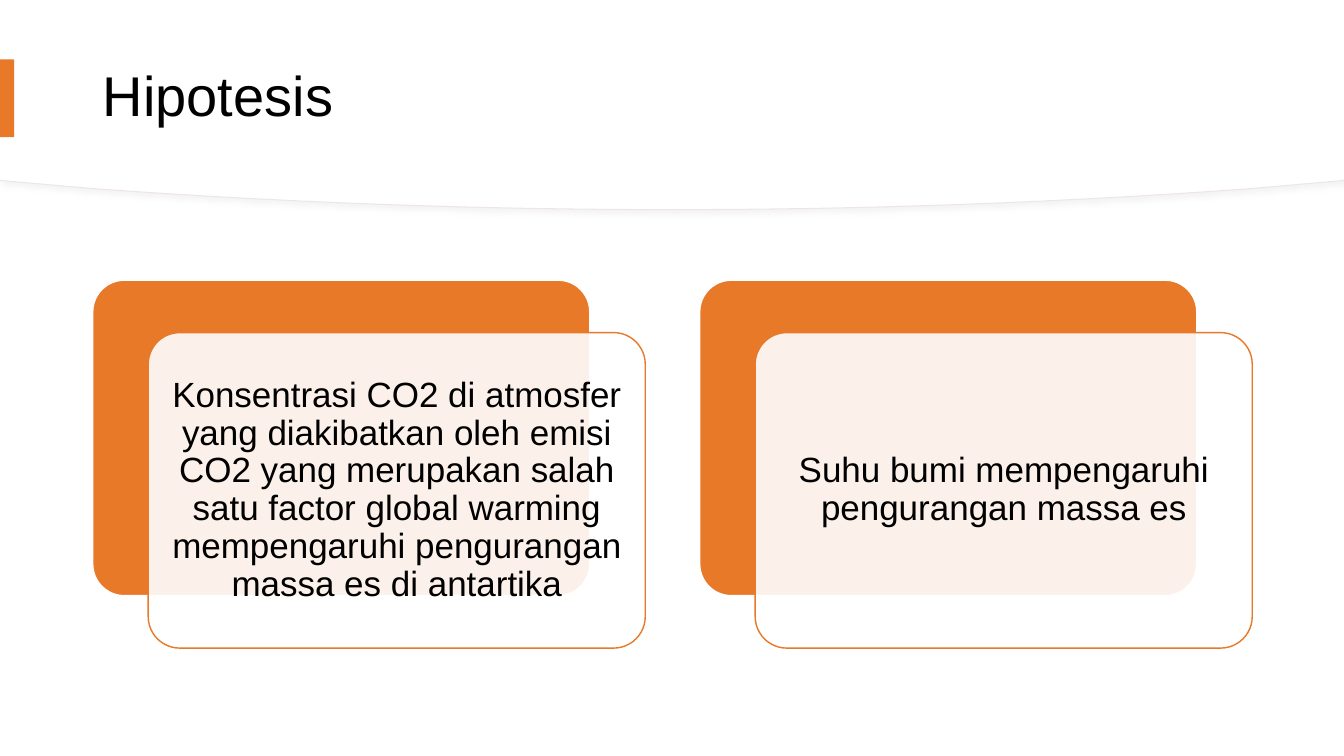
from lxml.etree import SubElement
from pptx import Presentation
from pptx.dml.color import RGBColor
from pptx.enum.shapes import MSO_SHAPE
from pptx.enum.text import MSO_ANCHOR, PP_ALIGN
from pptx.oxml import parse_xml
from pptx.oxml.ns import nsdecls, qn
from pptx.util import Inches, Pt

FONT = "Arial"
ORANGE, WHITE, BLACK, EDGE = "E77929", "FFFFFF", "000000", "F0E5E5"
SLIDE_W, SLIDE_H = 13.33, 7.5

HYPOTHESES = [
    "Konsentrasi CO2 di atmosfer yang diakibatkan oleh emisi CO2 yang merupakan "
    "salah satu factor global warming mempengaruhi pengurangan massa es di antartika",
    "Suhu bumi mempengaruhi pengurangan massa es",
]


def rgb(color):
    return RGBColor.from_string(color)


def paint(sp, fill, line=None, width=1):
    sp.shadow.inherit = False
    sp.fill.solid()
    sp.fill.fore_color.rgb = rgb(fill)
    if line:
        sp.line.color.rgb = rgb(line)
        sp.line.width = Pt(width)
    else:
        sp.line.fill.background()


def add_box(slide, kind, box, fill, line=None):
    sp = slide.shapes.add_shape(kind, *map(Inches, box))
    paint(sp, fill, line)
    return sp


def style_text(tf, size, align):
    tf.word_wrap = True
    tf.vertical_anchor = MSO_ANCHOR.MIDDLE
    p = tf.paragraphs[0]
    p.alignment = align
    p.line_spacing = 0.9
    p.font.name = FONT
    p.font.size = Pt(size)
    p.font.color.rgb = rgb(BLACK)


def bezier(points, steps=24):
    """Points along a cubic curve, without its start."""
    for i in range(1, steps + 1):
        t = i / steps
        weights = ((1 - t) ** 3, 3 * t * (1 - t) ** 2, 3 * t * t * (1 - t), t ** 3)
        yield tuple(sum(w * pt[axis] for w, pt in zip(weights, points)) for axis in (0, 1))


def add_curved_panel(slide, width, depth, line=None):
    """White panel from the top edge, bulging down to the given depth."""
    mid, shoulder = width / 2, depth - 0.21
    right = [(width - 0.91, shoulder), (width - 2.68, depth - 0.08),
             (mid + 2.04, depth), (mid, depth)]
    left = [(width - x, y) for x, y in reversed(right)]
    outline = [(width, 0), (width, depth - 0.29), right[0],
               *bezier(right), *bezier(left), (0, depth - 0.29)]
    builder = slide.shapes.build_freeform(0, 0)
    builder.add_line_segments([(Inches(x), Inches(y)) for x, y in outline], close=True)
    sp = builder.convert_to_shape()
    paint(sp, WHITE, line, 0.75)
    return sp


def add_header(slide, width, title_box, title_text):
    # Curved panel with a soft shadow, then a plain one over its rim
    panel = add_curved_panel(slide, width, 2.08, EDGE)
    effects = panel.element.spPr.find(qn("a:effectLst"))
    effects.append(parse_xml(
        f'<a:outerShdw {nsdecls("a")} blurRad="{Pt(4)}" dist="{Pt(3)}" dir="2700000" '
        'algn="tl" rotWithShape="0"><a:srgbClr val="D9D9D9"><a:alpha val="30000"/>'
        '</a:srgbClr></a:outerShdw>'))
    add_curved_panel(slide, width, 2.07)

    # Title, brought in front of the panels
    title = slide.shapes.title
    title.element.getparent().append(title.element)
    title.left, title.top, title.width, title.height = map(Inches, title_box)
    title.text_frame.text = title_text
    style_text(title.text_frame, 40, PP_ALIGN.LEFT)

    # Accent bar at the slide edge
    add_box(slide, MSO_SHAPE.RECTANGLE, (0, 0.59, 0.14, 0.77), ORANGE)


def add_card(slide, x, y, w, h, text):
    # Orange back plate
    back = add_box(slide, MSO_SHAPE.ROUNDED_RECTANGLE, (x, y, w, h), ORANGE, WHITE)
    # Translucent front plate holding the text
    front = add_box(slide, MSO_SHAPE.ROUNDED_RECTANGLE,
                    (x + 0.55, y + 0.52, w, h), WHITE, ORANGE)
    back.adjustments[0] = front.adjustments[0] = 0.1
    color = front.element.spPr.find(qn("a:solidFill")).find(qn("a:srgbClr"))
    SubElement(color, qn("a:alpha")).set("val", "90000")

    tf = front.text_frame
    tf.margin_left = tf.margin_right = tf.margin_top = tf.margin_bottom = Inches(0.1)
    tf.text = text
    style_text(tf, 25, PP_ALIGN.CENTER)


def main():
    prs = Presentation()
    prs.slide_width, prs.slide_height = Inches(SLIDE_W), Inches(SLIDE_H)
    slide = prs.slides.add_slide(prs.slide_layouts[5])
    slide.background.fill.solid()
    slide.background.fill.fore_color.rgb = rgb(WHITE)

    add_header(slide, SLIDE_W, (0.92, 0.28, 11.5, 1.39), "Hipotesis")
    for i, text in enumerate(HYPOTHESES):
        add_card(slide, 0.92 + i * 6.02, 2.78, 4.93, 3.13, text)

    prs.save("out.pptx")


if __name__ == "__main__":
    main()
